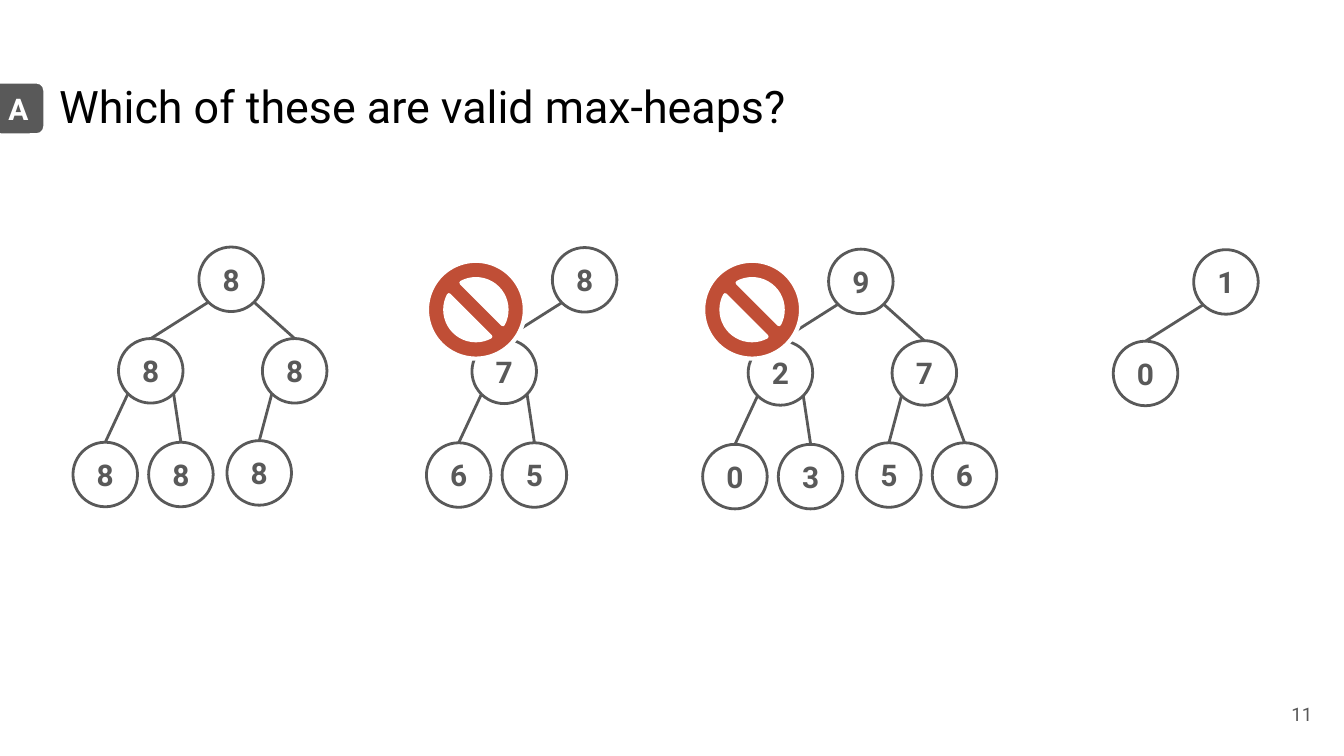
from math import sqrt

from lxml import etree
from pptx import Presentation
from pptx.dml.color import RGBColor
from pptx.enum.shapes import MSO_CONNECTOR, MSO_SHAPE
from pptx.enum.text import MSO_ANCHOR, PP_ALIGN
from pptx.oxml.ns import qn
from pptx.util import Cm, Pt

GREY = RGBColor(0x59, 0x59, 0x59)
WHITE = RGBColor(0xFF, 0xFF, 0xFF)
BLACK = RGBColor(0x00, 0x00, 0x00)
RED = RGBColor(0xC0, 0x4E, 0x36)

OVAL = MSO_SHAPE.OVAL
ROUND = MSO_SHAPE.ROUNDED_RECTANGLE
BAN = MSO_SHAPE.NO_SYMBOL
STRAIGHT = MSO_CONNECTOR.STRAIGHT
LEFT, CENTER, RIGHT = PP_ALIGN.LEFT, PP_ALIGN.CENTER, PP_ALIGN.RIGHT
TOP, MIDDLE = MSO_ANCHOR.TOP, MSO_ANCHOR.MIDDLE

FONT = "Roboto"
INSET = Cm(0.25)
NODE = 1.22
BAN_SIZE = 1.85

# Node offsets from the root in level order: node i has parent (i - 1) // 2
SPOTS = [(0, 0), (-1.52, 1.73), (1.2, 1.73),
         (-2.38, 3.69), (-0.95, 3.69), (0.53, 3.66), (1.96, 3.66)]

# Root left, root top, values in level order
HEAPS = [
    (3.76, 4.67, [8, 8, 8, 8, 8, 8]),
    (10.44, 4.68, [8, 7, None, 6, 5]),
    (15.66, 4.71, [9, 2, 7, 0, 3, 5, 6]),
    (22.56, 4.72, [1, 0]),
]
BANS = [(8.07, 4.93), (13.29, 4.93)]


def write(shape, text, size, color, align=CENTER, anchor=MIDDLE, bold=False):
    frame = shape.text_frame
    frame.word_wrap = True
    frame.vertical_anchor = anchor
    frame.margin_left = frame.margin_right = INSET
    frame.margin_top = frame.margin_bottom = INSET
    para = frame.paragraphs[0]
    para.alignment = align
    run = para.add_run()
    run.text = text
    run.font.name = FONT
    run.font.size = Pt(size)
    run.font.bold = bold
    run.font.color.rgb = color


def add_text(shapes, box, *args):
    write(shapes.add_textbox(*map(Cm, box)), *args)


def add_form(shapes, kind, box, fill, line, width):
    form = shapes.add_shape(kind, *map(Cm, box))
    form.shadow.inherit = False
    form.fill.solid()
    form.fill.fore_color.rgb = fill
    form.line.color.rgb = line
    form.line.width = Pt(width)
    return form


def add_node(shapes, x, y, value):
    node = add_form(shapes, OVAL, (x, y, NODE, NODE), WHITE, GREY, 1.5)
    write(node, str(value), 16, GREY, bold=True)


def add_edge(shapes, parent, child, side):
    """Join the parent's lower diagonal point (side -1 or 1) to the child's top."""
    half = NODE / 2
    reach = half / sqrt(2)
    ends = (parent[0] + half + side * reach, parent[1] + half + reach,
            child[0] + half, child[1])
    edge = shapes.add_connector(STRAIGHT, *map(Cm, ends))
    edge.line.color.rgb = GREY
    edge.line.width = Pt(1.5)
    etree.SubElement(edge._element.spPr, qn("a:effectLst"))


def add_heap(shapes, left, top, values):
    group = shapes.add_group_shape().shapes
    spots = [(left + dx, top + dy) for dx, dy in SPOTS]
    nodes = [(i, v) for i, v in enumerate(values) if v is not None]
    for i, _ in nodes[1:]:
        add_edge(group, spots[(i - 1) // 2], spots[i], -1 if i % 2 else 1)
    for i, value in nodes:
        add_node(group, *spots[i], value)


def main():
    deck = Presentation()
    deck.slide_width, deck.slide_height = Cm(25.4), Cm(14.29)
    shapes = deck.slides.add_slide(deck.slide_layouts[6]).shapes

    add_text(shapes, (0.87, 1.23, 23.67, 1.6),
             "Which of these are valid max-heaps?", 24, BLACK, LEFT, TOP)
    add_text(shapes, (23.53, 12.95, 1.52, 1.09), "11", 10, GREY, RIGHT)
    badge = add_form(shapes, ROUND, (-0.16, 1.54, 1.02, 1.02),
                     GREY, WHITE, 2.25)
    write(badge, "A", 16, WHITE, bold=True)

    for heap in HEAPS:
        add_heap(shapes, *heap)
    for x, y in BANS:
        add_form(shapes, BAN, (x, y, BAN_SIZE, BAN_SIZE), RED, WHITE, 2.25)

    deck.save("out.pptx")


if __name__ == "__main__":
    main()
